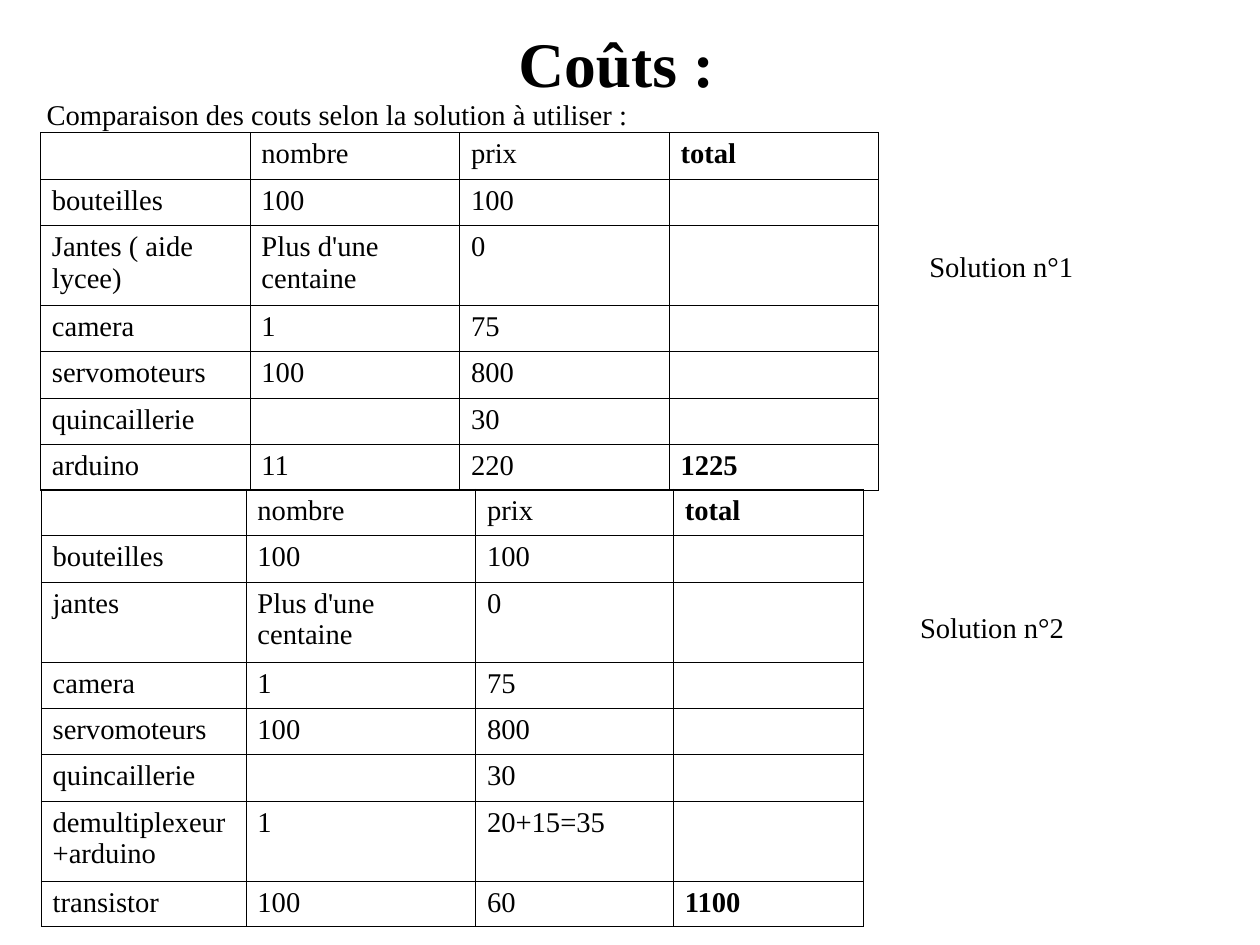
from lxml import etree
from pptx import Presentation
from pptx.dml.color import RGBColor
from pptx.enum.text import MSO_ANCHOR, MSO_AUTO_SIZE, PP_ALIGN
from pptx.oxml.ns import qn
from pptx.util import Pt

TOP = MSO_ANCHOR.TOP
NO_FIT = MSO_AUTO_SIZE.NONE
LEFT, CENTER = PP_ALIGN.LEFT, PP_ALIGN.CENTER
TITLE_ONLY = 5

SHORT_ROW, TALL_ROW = 28.8, 50.4
HEADER = ("", "nombre", "prix", "total")
SOLUTION_1 = [
    HEADER,
    ("bouteilles", "100", "100", ""),
    ("Jantes ( aide lycee)", "Plus d'une centaine", "0", ""),
    ("camera", "1", "75", ""),
    ("servomoteurs", "100", "800", ""),
    ("quincaillerie", "", "30", ""),
    ("arduino", "11", "220", "1225"),
]
SOLUTION_2 = [
    HEADER,
    ("bouteilles", "100", "100", ""),
    ("jantes", "Plus d'une centaine", "0", ""),
    ("camera", "1", "75", ""),
    ("servomoteurs", "100", "800", ""),
    ("quincaillerie", "", "30", ""),
    ("demultiplexeur+arduino", "1", "20+15=35", ""),
    ("transistor", "100", "60", "1100"),
]


def color(value):
    return RGBColor.from_string(value)


class CostSlide:
    font, size, ink, border = "Times New Roman", 18, "000000", 0.57

    def __init__(self, prs):
        self.s = prs.slides.add_slide(prs.slide_layouts[TITLE_ONLY])

    def add_run(self, tf, text, size=size, bold=False, align=LEFT):
        p = tf.paragraphs[0]
        p.alignment = align
        r = p.add_run()
        r.text = text
        r.font.name, r.font.size, r.font.bold = self.font, Pt(size), bold
        r.font.color.rgb = color(self.ink)

    def frame(self, sp):
        tf = sp.text_frame
        tf.word_wrap, tf.auto_size, tf.vertical_anchor = True, NO_FIT, TOP
        tf.margin_left = tf.margin_right = Pt(7.2)
        tf.margin_top = tf.margin_bottom = Pt(3.6)
        return tf

    def title(self, text, x, y, w, h):
        sp = self.s.shapes.title
        sp.left, sp.top, sp.width, sp.height = Pt(x), Pt(y), Pt(w), Pt(h)
        self.add_run(self.frame(sp), text, 40, True, CENTER)

    def text(self, text, x, y, w, h=27.4):
        sp = self.s.shapes.add_textbox(Pt(x), Pt(y), Pt(w), Pt(h))
        self.add_run(self.frame(sp), text)

    def outline(self, cell):
        tcPr = cell._tc.get_or_add_tcPr()
        for index, side in enumerate(("a:lnL", "a:lnR", "a:lnT", "a:lnB")):
            ln = etree.Element(qn(side), w=str(int(Pt(self.border))))
            fill = etree.SubElement(ln, qn("a:solidFill"))
            etree.SubElement(fill, qn("a:srgbClr"), val=self.ink)
            tcPr.insert(index, ln)

    def table(self, rows, x, y, widths, tall_rows):
        heights = [TALL_ROW if i in tall_rows else SHORT_ROW
                   for i in range(len(rows))]
        table = self.s.shapes.add_table(
            len(rows), len(widths), Pt(x), Pt(y),
            Pt(sum(widths)), Pt(sum(heights))).table
        table.first_row = table.horz_banding = False
        for column, width in zip(table.columns, widths):
            column.width = Pt(width)
        for i, (row, height) in enumerate(zip(rows, heights)):
            table.rows[i].height = Pt(height)
            for j, text in enumerate(row):
                cell = table.cell(i, j)
                cell.fill.background()
                cell.margin_left = cell.margin_right = Pt(7.2)
                cell.margin_top = cell.margin_bottom = Pt(3.6)
                self.outline(cell)
                if text:
                    self.add_run(cell.text_frame, text,
                                 bold=HEADER[j] == "total")


def main():
    prs = Presentation()
    prs.slide_width, prs.slide_height = Pt(793.6), Pt(595.3)
    slide = CostSlide(prs)

    # Heading
    slide.title("Coûts :", 79.2, 11.5, 617.8, 51.1)
    slide.text("Comparaison des couts selon la solution à utiliser :",
               22.3, 57.6, 720)

    # First solution
    slide.table(SOLUTION_1, 25.5, 83.5, [132] * 4, {2})
    slide.text("Solution n°1", 578.2, 153.4, 193)

    # Second solution
    slide.table(SOLUTION_2, 26, 308.2, [129, 144.6, 124.6, 119.6], {2, 6})
    slide.text("Solution n°2", 572.4, 380.9, 198.7)

    prs.save("out.pptx")


if __name__ == "__main__":
    main()
